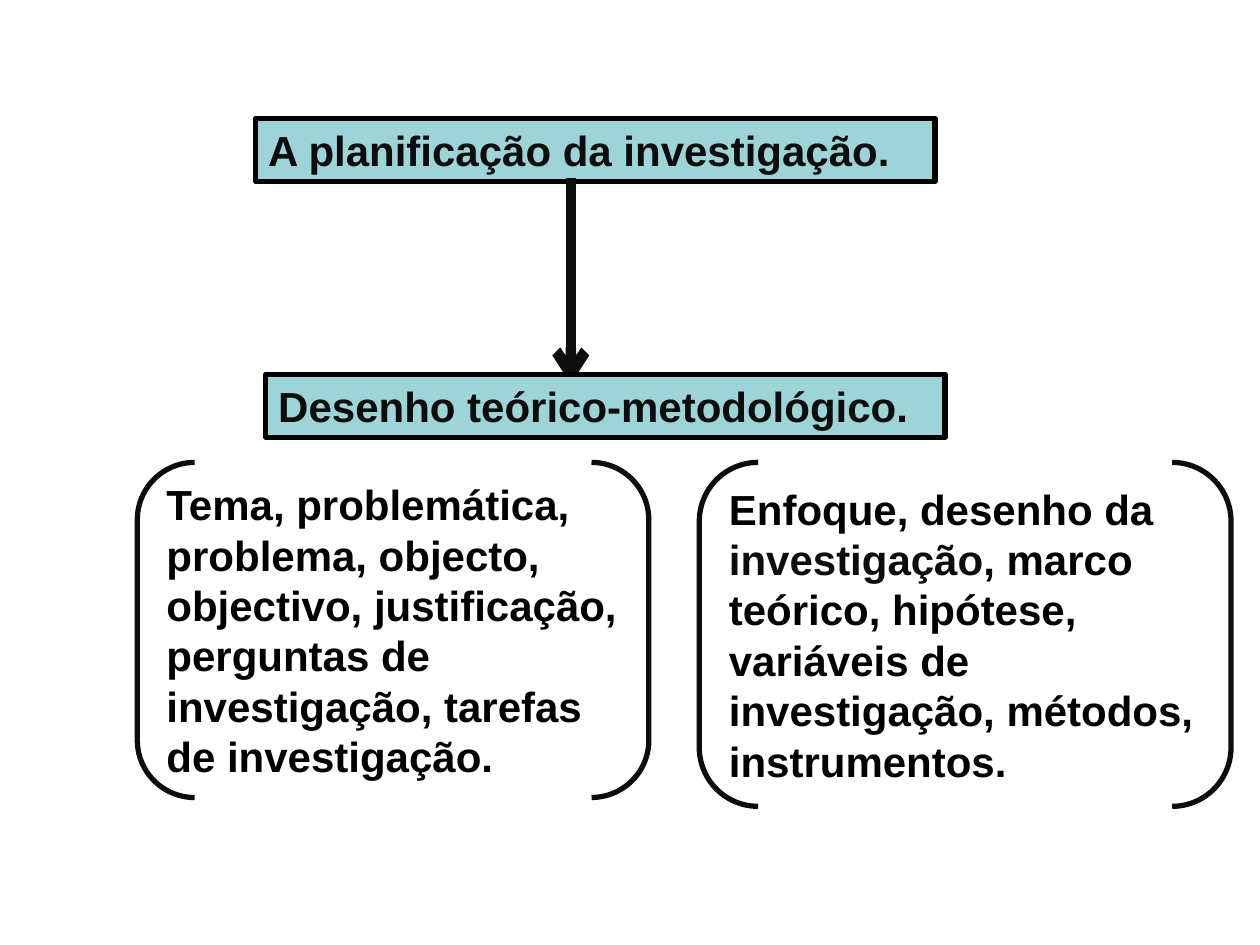
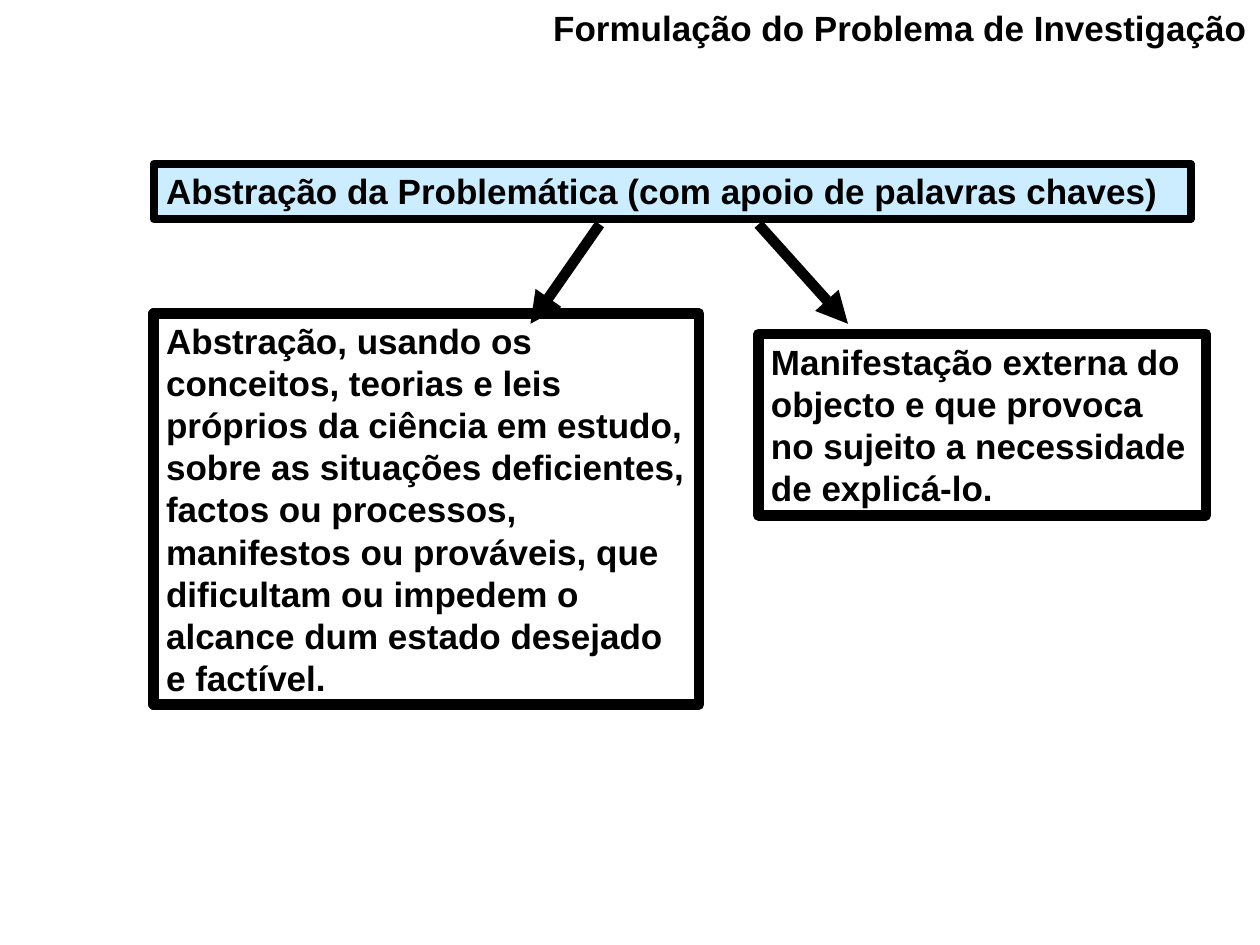
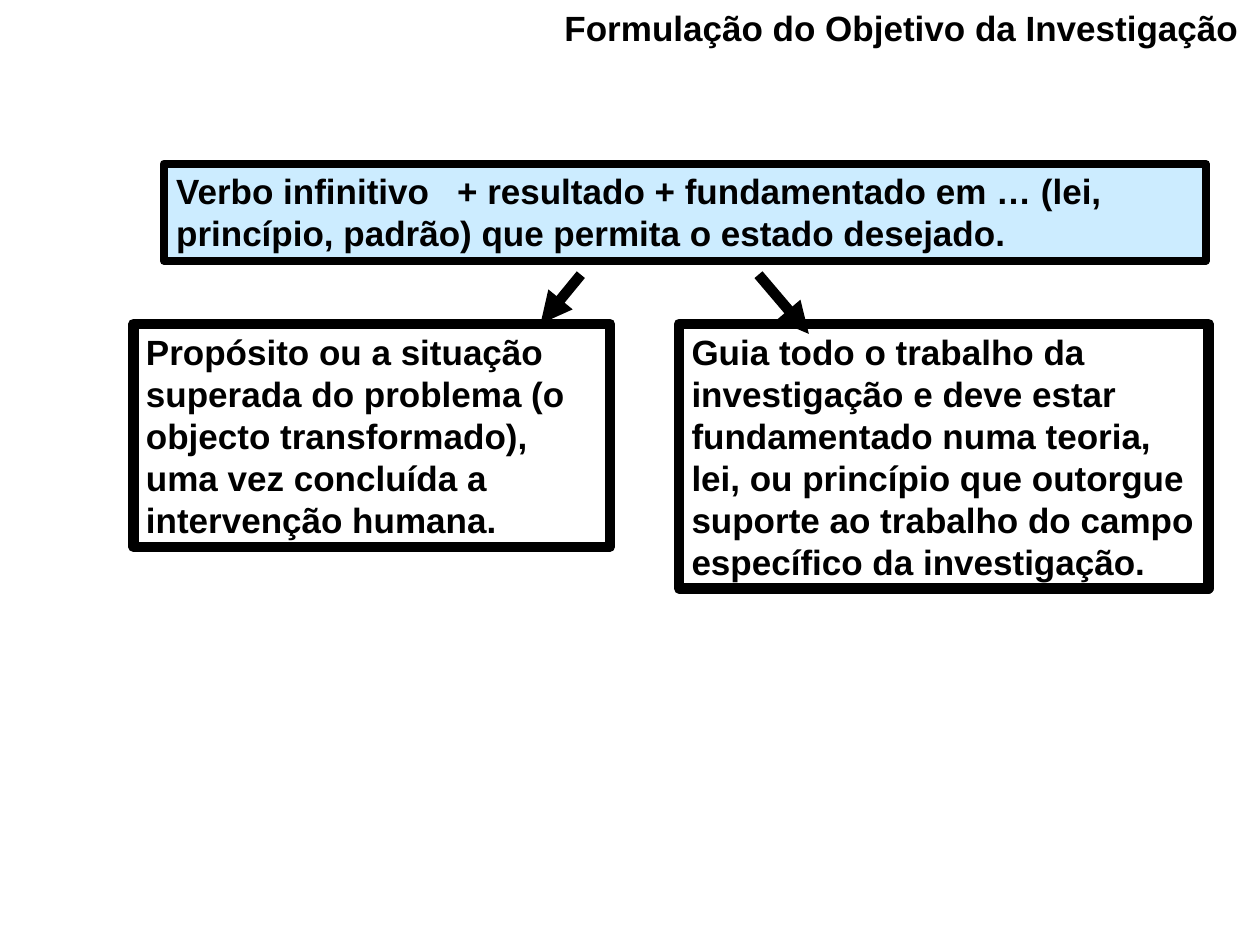
import pptx
import pptx.dml.color
import pptx.enum.shapes
import pptx.enum.text
import pptx.oxml.ns
import pptx.util
from lxml import etree

SHAPE = pptx.enum.shapes.MSO_SHAPE
ANCHOR = pptx.enum.text.MSO_ANCHOR
COLOURS = {"black": "000000", "ink": "0D0D0D", "teal": "9ED3D7", "sky": "CCECFF"}
FONT = "Arial"
PLAN_SIZE, STEP_SIZE = 24, 20
WIDTH, HEIGHT = pptx.util.Inches(10), pptx.util.Inches(7.5)
COLUMN, ROW = WIDTH / 100, HEIGHT / 75
TITLE_ONLY, BLANK = 5, 6


def colour(name):
    """Return the palette colour with this name."""
    return pptx.dml.color.RGBColor.from_string(COLOURS[name])


def area(left, top, width, height):
    """Turn grid columns and rows into slide lengths."""
    return (round(left * COLUMN), round(top * ROW),
            round(width * COLUMN), round(height * ROW))


def add_child(parent, tag, **attributes):
    """Append a drawing element and return it."""
    return etree.SubElement(parent, pptx.oxml.ns.qn(tag), attributes)


def write(holder, parts, size, anchor=ANCHOR.TOP):
    """Fill a shape with one bold paragraph made of (text, colour) parts."""
    frame = holder.text_frame
    frame.word_wrap = True
    frame.auto_size = pptx.enum.text.MSO_AUTO_SIZE.NONE
    frame.vertical_anchor = anchor
    paragraph = frame.paragraphs[0]
    paragraph.alignment = pptx.enum.text.PP_ALIGN.LEFT
    for text, ink in parts:
        run = paragraph.add_run()
        run.text = text
        run.font.name = FONT
        run.font.size = pptx.util.Pt(size)
        run.font.bold = True
        run.font.color.rgb = colour(ink)
    return paragraph


def add_frame(slide, kind, place, line, weight, fill=None):
    """Draw an outlined shape, filled only when a colour is given."""
    shape = slide.shapes.add_shape(kind, *area(*place))
    shape.shadow.inherit = False
    if fill:
        shape.fill.solid()
        shape.fill.fore_color.rgb = colour(fill)
    else:
        shape.fill.background()
    shape.line.color.rgb = colour(line)
    shape.line.width = pptx.util.Pt(weight)
    return shape


def add_stage(slide, place, text):
    """Draw a teal stage of the research plan."""
    stage = add_frame(slide, SHAPE.RECTANGLE, place, "black", 3, "teal")
    write(stage, [(text, "ink")], PLAN_SIZE)


def add_brackets(slide, place, parts):
    """Draw a list of plan elements between round brackets."""
    brackets = add_frame(slide, SHAPE.DOUBLE_BRACKET, place, "ink", 3)
    brackets.adjustments[0] = 0.171
    write(brackets, parts, PLAN_SIZE, ANCHOR.MIDDLE)


def add_formula(slide, place, text, tab=None):
    """Draw the sky-blue formula, with an optional tab stop in columns."""
    formula = add_frame(slide, SHAPE.RECTANGLE, place, "black", 4.5, "sky")
    paragraph = write(formula, [(text, "black")], STEP_SIZE)
    if tab:
        stops = add_child(paragraph._p.get_or_add_pPr(), "a:tabLst")
        add_child(stops, "a:tab", pos=str(round(tab * COLUMN)), algn="l")


def add_explanation(slide, place, text):
    """Draw a heavily outlined explanation."""
    explanation = add_frame(slide, SHAPE.RECTANGLE, place, "black", 6)
    write(explanation, [(text, "black")], STEP_SIZE)


def add_arrow(slide, start, end, line="black", head="triangle"):
    """Draw a thick arrow between two grid points."""
    arrow = slide.shapes.add_connector(
        pptx.enum.shapes.MSO_CONNECTOR.STRAIGHT, *area(*start, *end))
    arrow.line.color.rgb = colour(line)
    arrow.line.width = pptx.util.Pt(6)
    add_child(arrow.line._get_or_add_ln(), "a:tailEnd", type=head)
    add_child(arrow._element.spPr, "a:effectLst")


def add_step_slide(deck, title, left):
    """Add a slide whose title runs from a column to the right edge."""
    slide = deck.slides.add_slide(deck.slide_layouts[TITLE_ONLY])
    heading = slide.shapes.title
    heading.left, heading.top, heading.width, heading.height = area(
        left, 0, 100 - left, 4.4)
    write(heading, [(title, "black")], STEP_SIZE)
    return slide


def build_plan(deck):
    """Build the overview of research planning."""
    slide = deck.slides.add_slide(deck.slide_layouts[BLANK])
    add_stage(slide, (20.3, 9.4, 53.9, 5), "A planificação da investigação.")
    add_arrow(slide, (45.3, 14.1), (45.3, 30.5), "ink", "arrow")
    add_stage(slide, (21.1, 29.7, 53.9, 5), "Desenho teórico-metodológico.")
    add_brackets(slide, (10.9, 36.7, 40.6, 26.6), [
        ("Tema, problemática, problema, objecto, objectivo, justificação, "
         "perguntas de investigação, tarefas de investigação.", "black")])
    add_brackets(slide, (55.5, 36.7, 42.2, 27.3), [
        ("Enfoque, desenho da ", "black"),
        ("investigação", "ink"),
        (", marco teórico, hipótese, variáveis de investigação, métodos, "
         "instrumentos.", "black")])


def build_problem(deck):
    """Build the slide on stating the research problem."""
    slide = add_step_slide(deck, "Formulação do Problema de Investigação", 42.9)
    add_formula(slide, (12.2, 13, 82.3, 4.4),
                "Abstração da Problemática (com apoio de palavras chaves)")
    add_explanation(
        slide, (12.2, 24.9, 43.3, 31),
        "Abstração, usando os conceitos, teorias e leis próprios da ciência em "
        "estudo, sobre as situações deficientes, factos ou processos, manifestos "
        "ou prováveis, que dificultam ou impedem o alcance dum estado desejado "
        "e factível.")
    add_explanation(
        slide, (60.2, 26.5, 35.5, 14.4),
        "Manifestação externa do objecto e que provoca no sujeito a necessidade "
        "de explicá-lo.")
    add_arrow(slide, (47.6, 17.8), (42.1, 25.7))
    add_arrow(slide, (60.2, 17.8), (67.3, 25.7))


def build_objective(deck):
    """Build the slide on stating the research objective."""
    slide = add_step_slide(deck, "Formulação do Objetivo da Investigação", 43.8)
    add_formula(slide, (13, 13, 82.7, 7.7),
                "Verbo infinitivo\t+ resultado + fundamentado em … (lei, "
                "princípio, padrão) que permita o estado desejado.", 22.3)
    add_explanation(
        slide, (10.6, 25.7, 37.8, 17.7),
        "Propósito ou a situação superada do problema (o objecto transformado), "
        "uma vez concluída a intervenção humana.")
    add_explanation(
        slide, (53.9, 25.7, 42, 21),
        "Guia todo o trabalho da investigação e deve estar fundamentado numa "
        "teoria, lei, ou princípio que outorgue suporte ao trabalho do campo "
        "específico da investigação.")
    add_arrow(slide, (46.1, 21.8), (42.9, 25.7))
    add_arrow(slide, (60.2, 21.8), (64.2, 26.5))


def main():
    """Build and save the deck."""
    deck = pptx.Presentation()
    deck.slide_width, deck.slide_height = WIDTH, HEIGHT
    build_plan(deck)
    build_problem(deck)
    build_objective(deck)
    deck.save("out.pptx")


if __name__ == "__main__":
    main()
